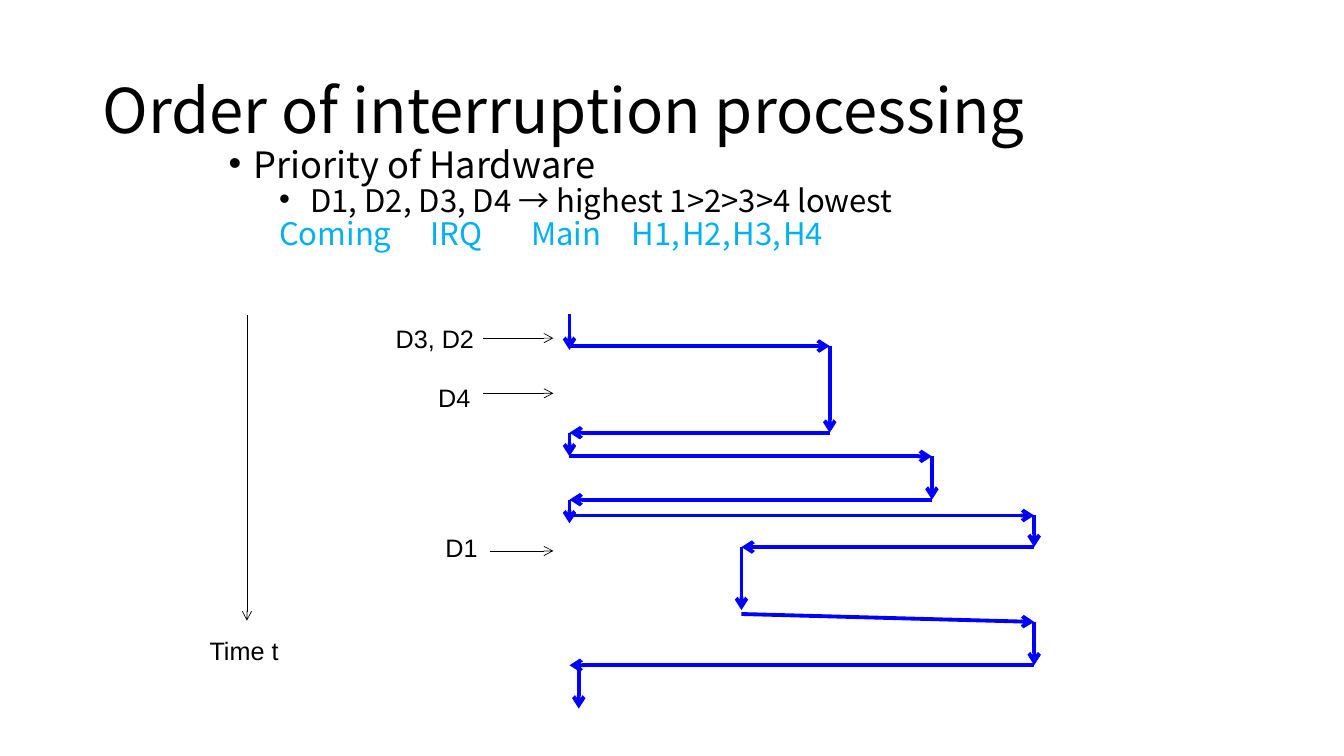
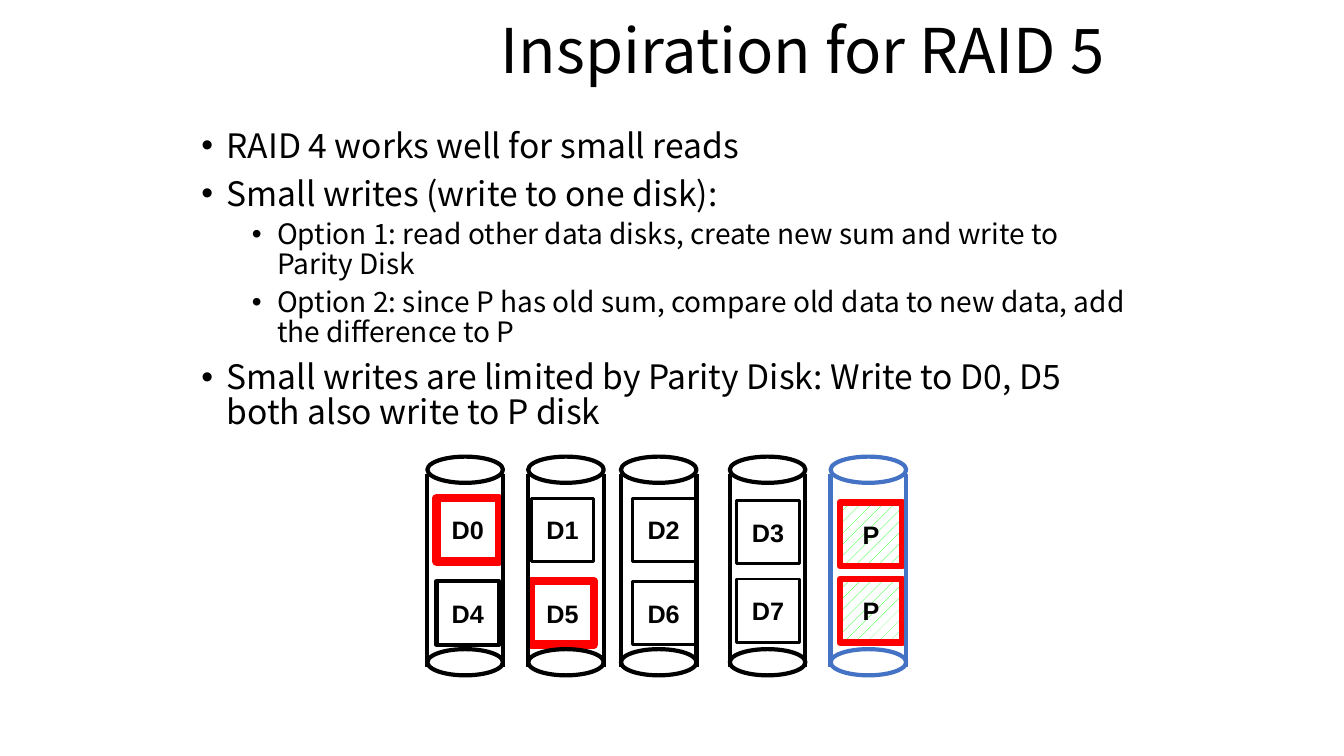
from dataclasses import dataclass

from lxml import etree
from pptx import Presentation
from pptx.dml.color import RGBColor
from pptx.enum.dml import MSO_PATTERN as Pattern
from pptx.enum.shapes import MSO_CONNECTOR as Connector, MSO_SHAPE as Preset
from pptx.enum.text import MSO_ANCHOR as Anchor, PP_ALIGN as Align
from pptx.oxml.ns import qn
from pptx.util import Emu, Inches, Pt

# Shared grid, colours and fonts
SLIDE_WIDTH, SLIDE_HEIGHT = Inches(13.333), Inches(7.5)
COLUMN, ROW = SLIDE_WIDTH / 40, SLIDE_HEIGHT / 30
BLACK, WHITE, RED, GREEN = "000000", "FFFFFF", "FF0000", "00FF00"
FLOW_BLUE, PARITY_BLUE, HEADING_CYAN = "0000FF", "4472C4", "00B0F0"
TEXT_FONT, LABEL_FONT = "Noto Sans CJK SC", "Arial"
MARGINS = (0.1, 0.05)


@dataclass
class Box:
    """An area measured in grid columns and rows."""
    left: float
    top: float
    width: float
    height: float

    def inner(self, x, y, width, height):
        """A box inside this one, given as shares of it."""
        return Box(self.left + x * self.width, self.top + y * self.height,
                   width * self.width, height * self.height)

    def point(self, x, y):
        return (Emu(round((self.left + x * self.width) * COLUMN)),
                Emu(round((self.top + y * self.height) * ROW)))

    def frame(self):
        return (*self.point(0, 0), Emu(round(self.width * COLUMN)),
                Emu(round(self.height * ROW)))


@dataclass
class Visit:
    """Time spent in one routine, as shares of the flow's box."""
    lane: str
    start: float
    end: float
    leave: float | None = None
    shift: float = 0


def color(hex_text):
    return RGBColor.from_string(hex_text)


def set_font(paragraph, size, name=TEXT_FONT, fill=BLACK, bold=False):
    font = paragraph.font
    font.size, font.name, font.bold = Pt(size), name, bold
    font.color.rgb = color(fill)


def set_frame(text_frame, margins=MARGINS, anchor=Anchor.TOP, wrap=True):
    text_frame.word_wrap = wrap
    text_frame.vertical_anchor = anchor
    text_frame.margin_left = text_frame.margin_right = Inches(margins[0])
    text_frame.margin_top = text_frame.margin_bottom = Inches(margins[1])


def add_text(slide, box, text, size, name=TEXT_FONT, align=Align.LEFT,
             spacing=1.0, margins=MARGINS):
    text_frame = slide.shapes.add_textbox(*box.frame()).text_frame
    set_frame(text_frame, margins, Anchor.MIDDLE)
    paragraph = text_frame.paragraphs[0]
    paragraph.text, paragraph.alignment = text, align
    paragraph.line_spacing = spacing
    set_font(paragraph, size, name)


def add_title(slide, box, text):
    add_text(slide, box, text, 44, spacing=0.9)


def format_paragraph(paragraph, margin, indent, bullet=None, tabs=()):
    properties = paragraph._p.get_or_add_pPr()
    properties.set("marL", str(Inches(margin)))
    properties.set("indent", str(Inches(indent)))
    if bullet:
        etree.SubElement(properties, qn("a:buFont"), typeface=LABEL_FONT)
        etree.SubElement(properties, qn("a:buChar"), char=bullet)
    else:
        etree.SubElement(properties, qn("a:buNone"))
    if tabs:
        tab_list = etree.SubElement(properties, qn("a:tabLst"))
        for stop in tabs:
            etree.SubElement(tab_list, qn("a:tab"), pos=str(Inches(stop)),
                             algn="l")


def add_body(slide, box, items, sizes, spacings, hang=0.25, tabs=()):
    """Items are (level, text); level None is a tabbed heading row."""
    text_frame = slide.shapes.add_textbox(*box.frame()).text_frame
    set_frame(text_frame)
    for number, (level, text) in enumerate(items):
        paragraph = (text_frame.add_paragraph() if number
                     else text_frame.paragraphs[0])
        paragraph.text = text
        depth = 1 if level is None else level
        paragraph.line_spacing = spacings[depth]
        if number:
            paragraph.space_before = Pt((10, 5)[depth])
        if level is None:
            format_paragraph(paragraph, 0, 0.5, tabs=tabs)
        else:
            width = hang if level else 0.25
            format_paragraph(paragraph, 0.5 * level + width, -width, "•")
        set_font(paragraph, sizes[depth],
                 fill=HEADING_CYAN if level is None else BLACK)


def add_line(slide, start, end, stroke, width, arrow=False):
    line = slide.shapes.add_connector(Connector.STRAIGHT, *start, *end)
    line.line.color.rgb, line.line.width = color(stroke), Pt(width)
    properties = line.element.spPr
    if arrow:
        etree.SubElement(properties.find(qn("a:ln")), qn("a:tailEnd"),
                         type="arrow")
    etree.SubElement(properties, qn("a:effectLst"))


def add_outline(slide, preset, box, stroke, width):
    shape = slide.shapes.add_shape(preset, *box.frame())
    shape.shadow.inherit = False
    shape.fill.background()
    shape.line.color.rgb, shape.line.width = color(stroke), Pt(width)
    return shape


# Regions of the interruption slide
def add_flow(slide, box, lanes, visits):
    previous = None
    for visit in visits:
        x = lanes[visit.lane]
        if previous:
            leave = visit.start if previous.leave is None else previous.leave
            add_line(slide, box.point(lanes[previous.lane], leave),
                     box.point(x, visit.start), FLOW_BLUE, 2.75, arrow=True)
        add_line(slide, box.point(x + visit.shift, visit.start),
                 box.point(x + visit.shift, visit.end),
                 FLOW_BLUE, 2.75, arrow=True)
        previous = visit


def add_time_axis(slide, box):
    add_line(slide, box.point(0.5, 0), box.point(0.5, 0.86), BLACK, 0.5,
             arrow=True)
    add_text(slide, box.inner(0, 0.89, 0.94, 0.11), "Time t", 18, LABEL_FONT,
             Align.CENTER, margins=(0, 0))


def add_requests(slide, box, requests):
    for text, right, text_y, arrow_left, arrow_y in requests:
        add_text(slide, box.inner(0, text_y - 0.05, right, 0.1), text, 18,
                 LABEL_FONT, Align.RIGHT, margins=(0, 0))
        add_line(slide, box.point(arrow_left, arrow_y), box.point(1, arrow_y),
                 BLACK, 0.5, arrow=True)


def build_interruption_slide(slide):
    add_title(slide, Box(2.76, 1.6, 34.5, 5.8),
              "Order of interruption processing")
    add_body(slide, Box(6.51, 5.92, 27.81, 4.68), [
        (0, "Priority of Hardware"),
        (1, "D1, D2, D3, D4 → highest 1>2>3>4 lowest"),
        (None, "Coming\tIRQ\tMain\tH1,\tH2,\tH3,\tH4"),
    ], sizes=(25.9, 22.2), spacings=(0.7, 0.7), hang=0.31,
        tabs=(1.76, 2.47, 3.65, 4.4, 5.09, 5.85))
    lanes = {"Main": 0, "H1": 0.37, "H2": 0.56, "H3": 0.78, "H4": 1}
    add_flow(slide, Box(16.95, 12.48, 13.83, 15.64), lanes, [
        Visit("Main", 0, 0.09),
        Visit("H2", 0.08, 0.3),
        Visit("Main", 0.3, 0.36),
        Visit("H3", 0.36, 0.47),
        Visit("Main", 0.47, 0.53),
        Visit("H4", 0.51, 0.59),
        Visit("H1", 0.59, 0.75, leave=0.76),
        Visit("H4", 0.78, 0.89),
        Visit("Main", 0.89, 1, shift=0.02),
    ])
    add_time_axis(slide, Box(5.94, 12.52, 2.82, 14.08))
    add_requests(slide, Box(11.1, 12.48, 5.37, 15.64), [
        ("D3, D2", 0.56, 0.06, 0.61, 0.06),
        ("D4", 0.54, 0.21, 0.61, 0.2),
        ("D1", 0.58, 0.59, 0.65, 0.6),
    ])


# Regions of the disk slide
def add_block(slide, box, text, stroke, width, hatched):
    block = add_outline(slide, Preset.RECTANGLE, box, stroke, width)
    if hatched:
        block.fill.patterned()
        block.fill.pattern = Pattern.PERCENT_10
        block.fill.fore_color.rgb = color(GREEN)
        block.fill.back_color.rgb = color(WHITE)
    set_frame(block.text_frame, anchor=Anchor.MIDDLE, wrap=False)
    paragraph = block.text_frame.paragraphs[0]
    paragraph.text, paragraph.alignment = text, Align.CENTER
    set_font(paragraph, 18, LABEL_FONT, bold=True)


def add_disk(slide, box, stroke, block_left, blocks):
    """Blocks are (text, top, line colour, line width)."""
    for text, top, block_stroke, width in blocks:
        add_block(slide, box.inner(block_left, top, 0.83, 0.29), text,
                  block_stroke, width, hatched=text == "P")
    for top in (0, 0.88):
        add_outline(slide, Preset.OVAL, box.inner(0, top, 1, 0.12), stroke, 3)
    for side in (0, 1):
        add_line(slide, box.point(side, 0.08), box.point(side, 0.96),
                 stroke, 3)


def build_raid_slide(slide):
    add_title(slide, Box(14.61, 0, 18.99, 4.28), "Inspiration for RAID 5")
    add_body(slide, Box(5.7, 5, 28.5, 20.92), [
        (0, "RAID 4 works well for small reads"),
        (0, "Small writes (write to one disk):"),
        (1, "Option 1: read other data disks, create new sum and write to "
            "Parity Disk"),
        (1, "Option 2: since P has old sum, compare old data to new data, "
            "add the difference to P"),
        (0, "Small writes are limited by Parity Disk: Write to D0, D5 both "
            "also write to P disk"),
    ], sizes=(24, 20), spacings=(0.85, 0.9))
    disks = [
        (12.72, BLACK, 0.12, [("D0", 0.19, RED, 6), ("D4", 0.57, BLACK, 3)]),
        (15.72, BLACK, 0.04, [("D1", 0.19, BLACK, 2), ("D5", 0.57, RED, 6)]),
        (18.48, BLACK, 0.15, [("D2", 0.19, BLACK, 2), ("D6", 0.57, BLACK, 2)]),
        (21.72, BLACK, 0.09, [("D3", 0.2, BLACK, 2), ("D7", 0.56, BLACK, 2)]),
        (24.72, PARITY_BLUE, 0.12,
         [("P", 0.21, RED, 4.5), ("P", 0.56, RED, 4.5)]),
    ]
    for left, stroke, block_left, blocks in disks:
        add_disk(slide, Box(left, 18.12, 2.25, 8.68), stroke, block_left,
                 blocks)


def main():
    presentation = Presentation()
    presentation.slide_width = SLIDE_WIDTH
    presentation.slide_height = SLIDE_HEIGHT
    blank = presentation.slide_layouts[6]
    for build in (build_interruption_slide, build_raid_slide):
        build(presentation.slides.add_slide(blank))
    presentation.save("out.pptx")


if __name__ == "__main__":
    main()
